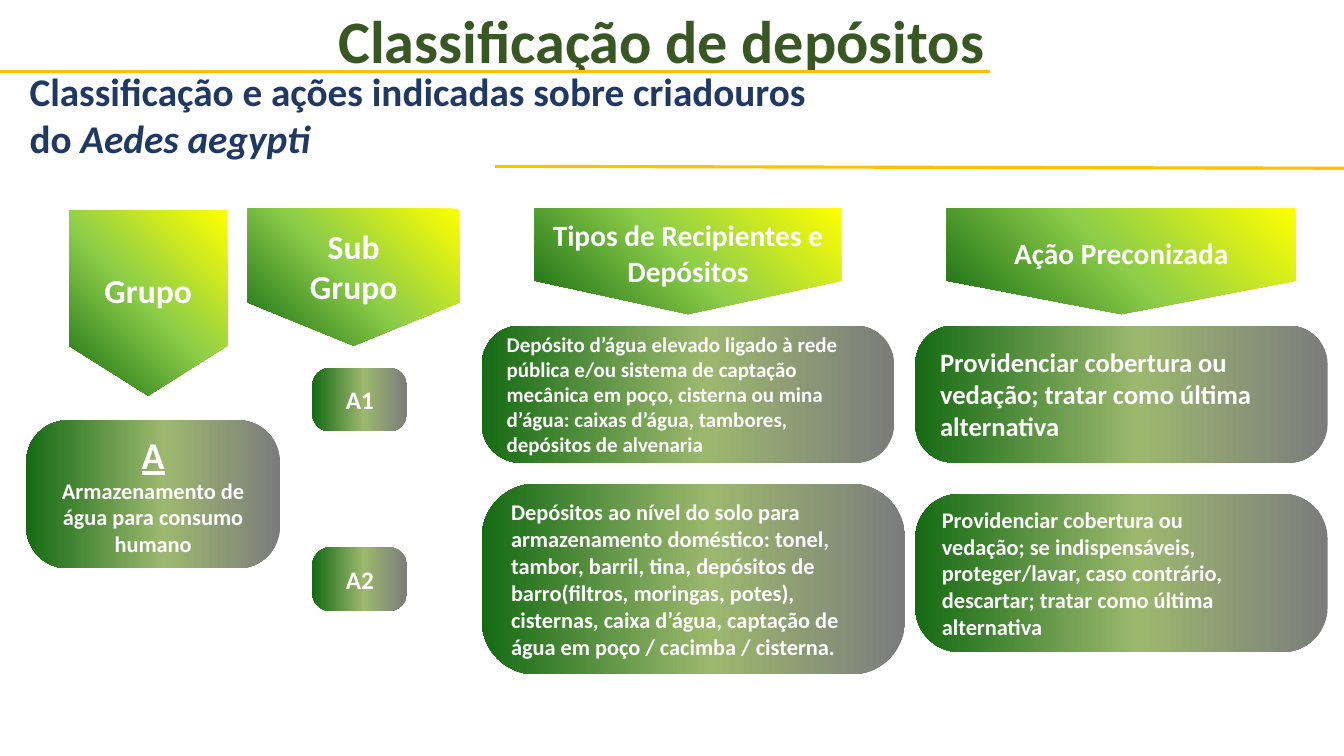
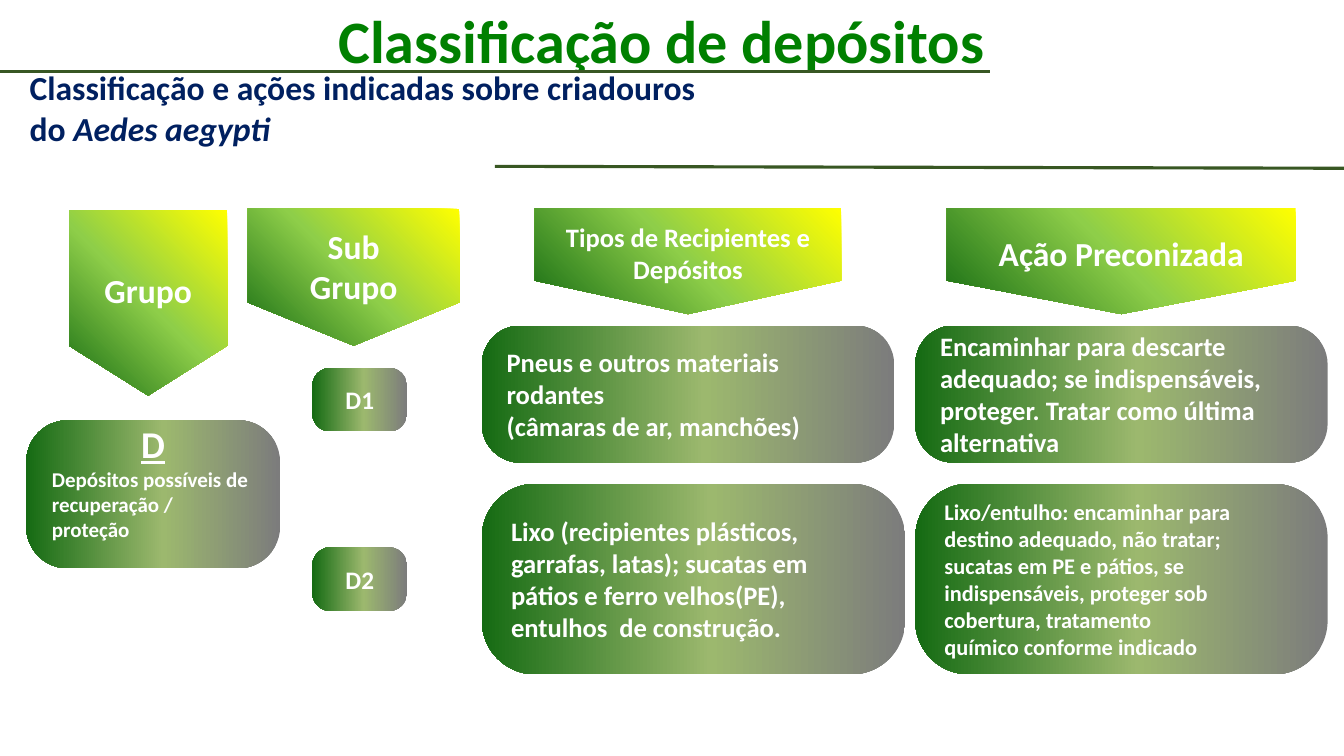
from pptx import Presentation
from pptx.dml.color import RGBColor
from pptx.enum.shapes import MSO_CONNECTOR as Connector, MSO_SHAPE as Preset
from pptx.enum.text import MSO_ANCHOR as Anchor, PP_ALIGN as Align
from pptx.oxml.ns import qn
from pptx.util import Pt
from lxml.etree import SubElement

COLORS = {
    "white": "FFFFFF", "green": "008000", "dark_green": "385723",
    "blue": "203864", "navy": "002060", "gold": "FFC000",
}
HEADER_GRADIENT = ([(0, "FFFF00"), (50, "8ECE49"), (100, "156B13")], 45)
CARD_GRADIENT = ([(0, "7C7C7C"), (46, "9CB86E"), (100, "156B13")], 180)
FONT = "Calibri"
TITLE = "Classificação de depósitos"
SUBTITLE = "Classificação e ações indicadas sobre criadouros\ndo "
SPECIES = "Aedes aegypti"
TITLE_BOX = (205.2, -2.2, 539.3, 67.7)
RULES = [(0, 51.1, 707, 51.1), (353.5, 118.8, 964, 120.2)]
HEADERS = [
    ("Grupo", (49.3, 150.1, 113, 132.5)),
    ("Sub\nGrupo", (177, 149, 151.2, 97.9)),
    ("Tipos de Recipientes e Depósitos", (382, 148.7, 218.9, 75.6)),
    ("Ação Preconizada", (676.4, 148.7, 249.1, 75.6)),
]
GROUP_BOX = (18.7, 300.2, 181.4, 105.8)
SUBGROUP_BOXES = [(223.2, top, 67.7, 45.4) for top in (262.8, 391)]
TYPE_LEFT, ACTION_LEFT = 344.2, 653.8
FIRST_ROW = (232.6, 294.5, 97.9)

SLIDES = [
    {
        "title_color": "dark_green", "subtitle_color": "blue",
        "rule_color": "gold", "subtitle_size": 28,
        "header_sizes": [24, 24, 21, 21],
        "group": ("A", "Armazenamento de água para consumo humano", 16, Align.CENTER, 4.8),
        "subgroups": ["A1", "A2"],
        "types": [
            ("Depósito d’água elevado ligado à rede\npública e/ou sistema de captação\n"
             "mecânica em poço, cisterna ou mina\nd’água: caixas d’água, tambores,\n"
             "depósitos de alvenaria", 15),
            ("Depósitos ao nível do solo para\narmazenamento doméstico: tonel,\n"
             "tambor, barril, tina, depósitos de barro(filtros, moringas, potes), "
             "cisternas, caixa d’água, captação de água em poço / cacimba / cisterna.", 16),
        ],
        "actions": [
            ("Providenciar cobertura ou\nvedação; tratar como última\nalternativa", 19),
            ("Providenciar cobertura ou\nvedação; se indispensáveis,\n"
             "proteger/lavar, caso contrário,\ndescartar; tratar como última\nalternativa", 16),
        ],
        "last_action": (352.8, 113),
    },
    {
        "title_color": "green", "subtitle_color": "navy",
        "rule_color": "dark_green", "subtitle_size": 24,
        "header_sizes": [24, 24, 19, 24],
        "group": ("D", "Depósitos possíveis de recuperação / proteção", 15, Align.LEFT, 23.1),
        "subgroups": ["D1", "D2"],
        "types": [
            ("Pneus e outros materiais rodantes\n(câmaras de ar, manchões)", 19),
            ("Lixo (recipientes plásticos, garrafas, latas); sucatas em pátios e "
             "ferro velhos(PE), entulhos  de construção.", 19),
        ],
        "actions": [
            ("Encaminhar para descarte\nadequado; se indispensáveis,\n"
             "proteger. Tratar como última\nalternativa", 19),
            ("Lixo/entulho: encaminhar para\ndestino adequado, não tratar;\n"
             "sucatas em PE e pátios, se\nindispensáveis, proteger sob\n"
             "cobertura, tratamento\nquímico conforme indicado", 16),
        ],
        "last_action": (345.6, 136.1),
    },
]


def points(values):
    return [Pt(value) for value in values]


def write(frame, text, size, color="white", align=Align.LEFT, italic=False,
          underline=False, same_line=False):
    for line in text.split("\n"):
        paragraph = frame.paragraphs[-1]
        if paragraph.runs and not same_line:
            paragraph = frame.add_paragraph()
        paragraph.alignment = align
        run = paragraph.add_run()
        run.text = line
        font = run.font
        font.name, font.size, font.bold = FONT, Pt(size), True
        font.italic, font.underline = italic, underline
        font.color.rgb = RGBColor.from_string(COLORS[color])


def set_frame(frame, anchor=Anchor.MIDDLE, bottom=4.8):
    frame.word_wrap = True
    frame.vertical_anchor = anchor
    frame.margin_left = frame.margin_right = Pt(9.6)
    frame.margin_top, frame.margin_bottom = Pt(4.8), Pt(bottom)


def add_gradient_shape(slide, preset, box, adjustment, gradient, bottom=4.8):
    shape = slide.shapes.add_shape(preset, *points(box))
    shape.adjustments[0] = adjustment
    shape.shadow.inherit = False
    shape.line.fill.background()
    stops, angle = gradient
    shape.fill.gradient()
    shape.fill.gradient_angle = 360 - angle
    stop_list = shape._element.spPr.find(qn("a:gradFill")).find(qn("a:gsLst"))
    for stop in list(stop_list):
        stop_list.remove(stop)
    for position, color in stops:
        stop = SubElement(stop_list, qn("a:gs"), pos=str(position * 1000))
        SubElement(stop, qn("a:srgbClr"), val=color)
    set_frame(shape.text_frame, bottom=bottom)
    return shape


def add_header(slide, text, box, size):
    left, top, width, height = box
    shift = (width - height) / 2
    turned_box = (left + shift, top - shift, height, width)
    shape = add_gradient_shape(slide, Preset.PENTAGON, turned_box, 0.315, HEADER_GRADIENT)
    shape.rotation = 90
    shape.text_frame._txBody.bodyPr.set("vert", "vert270")
    write(shape.text_frame, text, size, align=Align.CENTER)


def add_card(slide, box, bottom=4.8):
    return add_gradient_shape(slide, Preset.ROUNDED_RECTANGLE, box, 0.282,
                              CARD_GRADIENT, bottom).text_frame


def add_rule(slide, ends, color):
    rule = slide.shapes.add_connector(Connector.STRAIGHT, *points(ends))
    rule.line.color.rgb = RGBColor.from_string(COLORS[color])
    rule.line.width = Pt(2.25)
    SubElement(rule._element.spPr, qn("a:effectLst"))


def add_heading(slide, content):
    title = slide.shapes.title
    title.left, title.top, title.width, title.height = points(TITLE_BOX)
    frame = title.text_frame
    set_frame(frame)
    frame.margin_left = Pt(36.4)
    write(frame, TITLE, 43, content["title_color"])
    frame.paragraphs[0].line_spacing = 0.9

    size, color = content["subtitle_size"], content["subtitle_color"]
    subtitle = slide.shapes.add_textbox(*points((11.5, 43.2, 929.5, size * 2.44 + 9.6)))
    set_frame(subtitle.text_frame, Anchor.TOP)
    write(subtitle.text_frame, SUBTITLE, size, color)
    write(subtitle.text_frame, SPECIES, size, color, italic=True, same_line=True)
    for ends in RULES:
        add_rule(slide, ends, content["rule_color"])


def build_slide(presentation, content):
    slide = presentation.slides.add_slide(presentation.slide_layouts[5])
    add_heading(slide, content)
    for (text, box), size in zip(HEADERS, content["header_sizes"]):
        add_header(slide, text, box, size)

    letter, description, size, align, bottom = content["group"]
    group = add_card(slide, GROUP_BOX, bottom)
    write(group, letter, 27, align=Align.CENTER, underline=True)
    write(group, description, size, align=align)
    for name, box in zip(content["subgroups"], SUBGROUP_BOXES):
        write(add_card(slide, box), name, 18, align=Align.CENTER)

    top, width, height = FIRST_ROW
    last_top, last_height = content["last_action"]
    type_boxes = [(TYPE_LEFT, top, width, height), (TYPE_LEFT, 345.6, 302.4, 136.1)]
    action_boxes = [(ACTION_LEFT, top, width, height),
                    (ACTION_LEFT, last_top, width, last_height)]
    cards = zip(content["types"] + content["actions"], type_boxes + action_boxes)
    for (text, size), box in cards:
        write(add_card(slide, box), text, size)


def main():
    presentation = Presentation()
    presentation.slide_width, presentation.slide_height = Pt(960), Pt(540)
    for content in SLIDES:
        build_slide(presentation, content)
    presentation.save("out.pptx")


if __name__ == "__main__":
    main()
